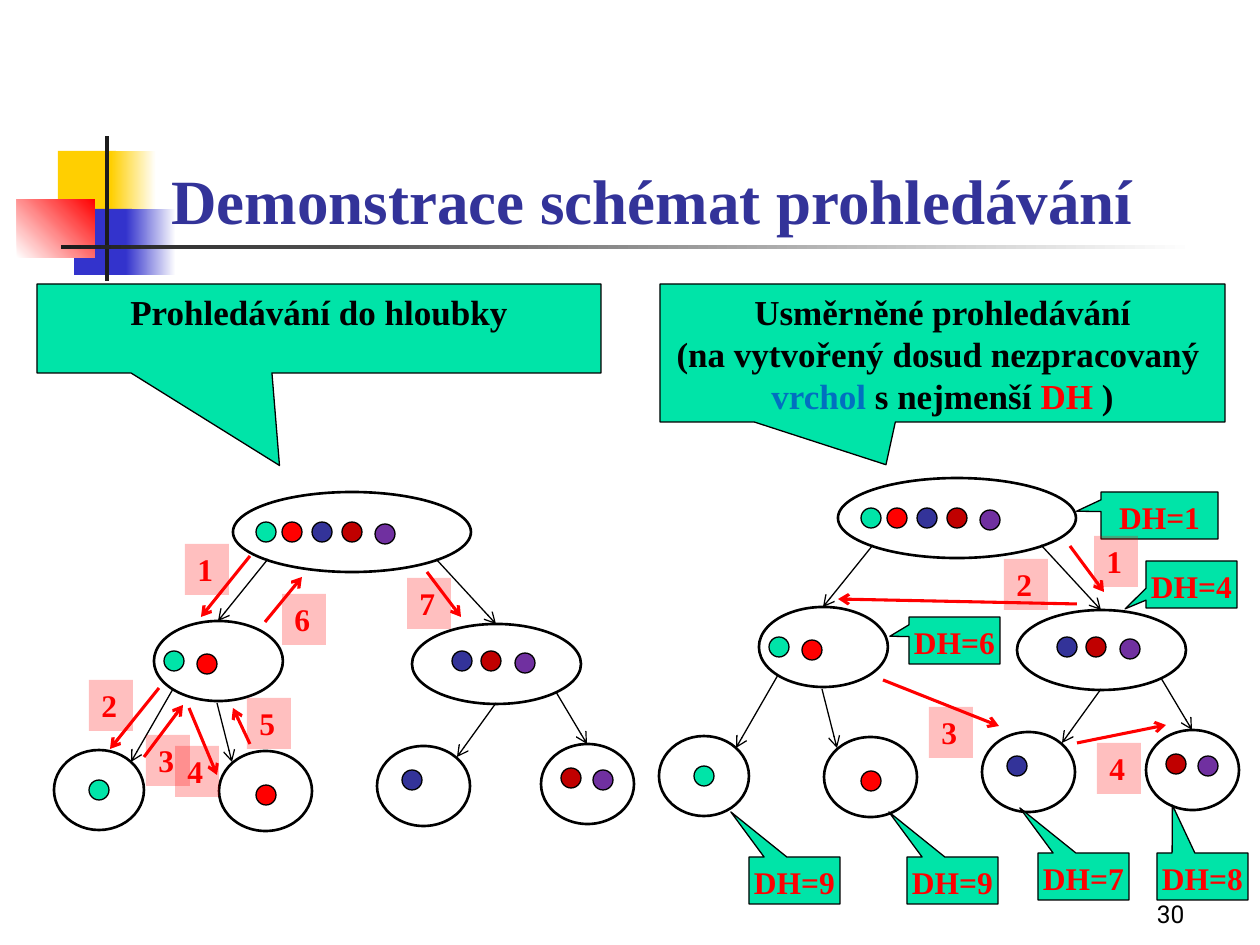
from typing import NamedTuple

from pptx import Presentation
from pptx.dml.color import RGBColor
from pptx.enum.shapes import MSO_CONNECTOR, MSO_SHAPE as SHAPE
from pptx.enum.text import MSO_ANCHOR as ANCHOR, MSO_AUTO_SIZE, PP_ALIGN as ALIGN
from pptx.oxml.ns import qn
from pptx.util import Emu, Inches, Pt
from lxml.etree import SubElement

SERIF = "Times New Roman"
BLACK, WHITE, RED, GREEN = "000000", "FFFFFF", "FF0000", "00E4A8"
BLUE, DARK_RED, PURPLE = "333399", "C00000", "7030A0"
DOT = 20
TAG_W, TAG_H = 44, 51


class Box(NamedTuple):
    x: int
    y: int
    w: int
    h: int


class Line(NamedTuple):
    x1: int
    y1: int
    x2: int
    y2: int


class Dot(NamedTuple):
    color: str
    x: int
    y: int


class Callout(NamedTuple):
    box: Box
    tip: tuple[float, float]
    runs: list[tuple[str, str]]
    size: int = 18


class Tag(NamedTuple):
    text: str
    x: int
    y: int


def px(n: int) -> Emu:
    return Emu(round(n * 914400 / 126))


def rgb(color: str) -> RGBColor:
    return RGBColor.from_string(color)


def add_shape(kind: SHAPE, box: Box, fill: str, line: float = 0):
    sp = s.shapes.add_shape(kind, *map(px, box))
    sp.shadow.inherit = False
    sp.fill.solid()
    sp.fill.fore_color.rgb = rgb(fill)
    if line:
        sp.line.color.rgb = rgb(BLACK)
        sp.line.width = Pt(line)
    else:
        sp.line.fill.background()
    return sp


def add_gradient(box: Box, start: str, end: str, angle: int = 0) -> None:
    sp = add_shape(SHAPE.RECTANGLE, box, start)
    sp.fill.gradient()
    sp.fill.gradient_angle = angle
    for stop, color in zip(sp.fill.gradient_stops, (start, end)):
        stop.color.rgb = rgb(color)


def add_arrow(line: Line, color: str, width: float) -> None:
    c = s.shapes.add_connector(MSO_CONNECTOR.STRAIGHT, *map(px, line))
    c.line.color.rgb = rgb(color)
    c.line.width = Pt(width)
    SubElement(c.line._get_or_add_ln(), qn("a:tailEnd"), type="arrow")
    SubElement(c._element.spPr, qn("a:effectLst"))


def set_text(sp, runs: list[tuple[str, str]], size: int, align: ALIGN = ALIGN.LEFT,
             anchor: ANCHOR = ANCHOR.TOP, font: str = SERIF, bold: bool = True,
             wrap: bool = True) -> None:
    tf = sp.text_frame
    tf.word_wrap = wrap
    tf.vertical_anchor = anchor
    p = tf.paragraphs[0]
    p.alignment = align
    p.font.name, p.font.size, p.font.bold = font, Pt(size), bold
    for text, color in runs:
        if text == "\n":
            p.add_line_break()
            continue
        r = p.add_run()
        r.text = text
        r.font.color.rgb = rgb(color)


def add_callout(c: Callout) -> None:
    sp = add_shape(SHAPE.RECTANGULAR_CALLOUT, c.box, GREEN, 0.75)
    sp.adjustments[0], sp.adjustments[1] = c.tip
    set_text(sp, c.runs, c.size, ALIGN.CENTER, wrap=False)


def add_tag(tag: Tag) -> None:
    sp = add_shape(SHAPE.RECTANGLE, Box(tag.x, tag.y, TAG_W, TAG_H), RED)
    SubElement(sp.fill.fore_color._xFill.find(qn("a:srgbClr")), qn("a:alpha"), val="25000")
    set_text(sp, [(tag.text, RED)], 18)
    sp.text_frame.auto_size = MSO_AUTO_SIZE.SHAPE_TO_FIT_TEXT


def add_tree(dx: int, dy: int) -> None:
    for x, y, w, h in NODES:
        add_shape(SHAPE.OVAL, Box(x + dx, y + dy, w, h), WHITE, 1.5)
    for color, x, y in DOTS:
        add_shape(SHAPE.OVAL, Box(x + dx, y + dy, DOT, DOT), color, 0.75)
    for x1, y1, x2, y2 in EDGES:
        add_arrow(Line(x1 + dx, y1 + dy, x2 + dx, y2 + dy), BLACK, 0.75)


# Search tree, drawn once per strategy
NODES = [Box(233, 492, 238, 80), Box(154, 621, 129, 80), Box(412, 624, 169, 80),
         Box(54, 750, 90, 80), Box(219, 751, 93, 80), Box(377, 746, 93, 80),
         Box(541, 744, 93, 80)]
DOTS = [Dot(GREEN, 256, 522), Dot(RED, 282, 522), Dot(BLUE, 312, 522),
        Dot(DARK_RED, 342, 522), Dot(PURPLE, 375, 524),
        Dot(GREEN, 164, 651), Dot(RED, 197, 654),
        Dot(BLUE, 452, 651), Dot(DARK_RED, 481, 651), Dot(PURPLE, 515, 653),
        Dot(GREEN, 89, 780), Dot(RED, 256, 785), Dot(BLUE, 402, 770),
        Dot(DARK_RED, 561, 768), Dot(PURPLE, 593, 770)]
EDGES = [Line(268, 559, 218, 621), Line(436, 559, 496, 624), Line(173, 689, 131, 762),
         Line(217, 703, 232, 762), Line(496, 703, 457, 757), Line(556, 692, 587, 744)]
TREE_OFFSETS = [(0, 0), (605, -14)]

# Strategy headings and node ratings
HEADINGS = [
    Callout(Box(37, 284, 564, 89), (-0.07, 1.54), [("Prohledávání do hloubky", BLACK)], 20),
    Callout(Box(660, 284, 565, 138), (-0.1, 0.81), [
        ("Usměrněné prohledávání", BLACK), ("\n", BLACK),
        ("(na vytvořený dosud nezpracovaný ", BLACK), ("\n", BLACK),
        ("vrchol", "0070C0"), (" s nejmenší ", BLACK), ("DH", RED), (" )", BLACK)], 20),
]
RATINGS = [Callout(box, tip, [(f"DH={value}", RED)]) for value, box, tip in [
    (1, Box(1101, 492, 117, 47), (-0.71, -0.09)),
    (6, Box(909, 617, 91, 47), (-0.71, -0.09)),
    (4, Box(1146, 561, 91, 47), (-0.73, 0.52)),
    (7, Box(1038, 853, 91, 47), (-0.7, -1.46)),
    (8, Box(1157, 853, 91, 47), (-0.33, -1.52)),
    (9, Box(749, 857, 91, 47), (-0.7, -1.46)),
    (9, Box(907, 857, 91, 47), (-0.7, -1.46)),
]]

# Order of the search steps
STEPS = [Line(250, 556, 201, 617), Line(159, 688, 110, 749), Line(144, 757, 183, 705),
         Line(250, 744, 233, 708), Line(189, 708, 217, 775), Line(265, 622, 302, 577),
         Line(427, 572, 461, 617), Line(1077, 604, 838, 599), Line(1070, 546, 1104, 592),
         Line(883, 680, 999, 726), Line(1077, 743, 1166, 725)]
TAGS = [Tag("1", 185, 544), Tag("2", 89, 680), Tag("3", 146, 735), Tag("4", 175, 746),
        Tag("5", 247, 698), Tag("6", 282, 594), Tag("7", 407, 578),
        Tag("1", 1094, 536), Tag("2", 1004, 559), Tag("3", 929, 707), Tag("4", 1097, 743)]

prs = Presentation()
prs.slide_width, prs.slide_height = Inches(10), Inches(7.5)
s = prs.slides.add_slide(prs.slide_layouts[6])

# Corner decoration
add_shape(SHAPE.RECTANGLE, Box(58, 151, 58, 66), "FFCF01")
add_gradient(Box(111, 151, 45, 66), "FFCF01", WHITE)
add_shape(SHAPE.RECTANGLE, Box(74, 209, 58, 66), "3333CC")
add_gradient(Box(126, 209, 50, 66), "3333CC", WHITE)
add_gradient(Box(17, 199, 78, 59), WHITE, RED, 45)
add_shape(SHAPE.RECTANGLE, Box(105, 136, 4, 145), "1C1C1C")
add_gradient(Box(61, 245, 1134, 4), "1C1C1C", WHITE)

# Page number and title
number = s.shapes.add_textbox(*map(px, Box(935, 872, 262, 63)))
set_text(number, [("30", BLACK)], 14, ALIGN.RIGHT, ANCHOR.BOTTOM, "Roboto", False)
title = s.shapes.add_textbox(*map(px, Box(159, 86, 1073, 157)))
set_text(title, [("Demonstrace schémat prohledávání", BLUE)], 36, anchor=ANCHOR.BOTTOM)

# Both strategies
for offset, heading in zip(TREE_OFFSETS, HEADINGS):
    add_tree(*offset)
    add_callout(heading)
for rating in RATINGS:
    add_callout(rating)
for step in STEPS:
    add_arrow(step, RED, 1.75)
for tag in TAGS:
    add_tag(tag)

prs.save("out.pptx")
